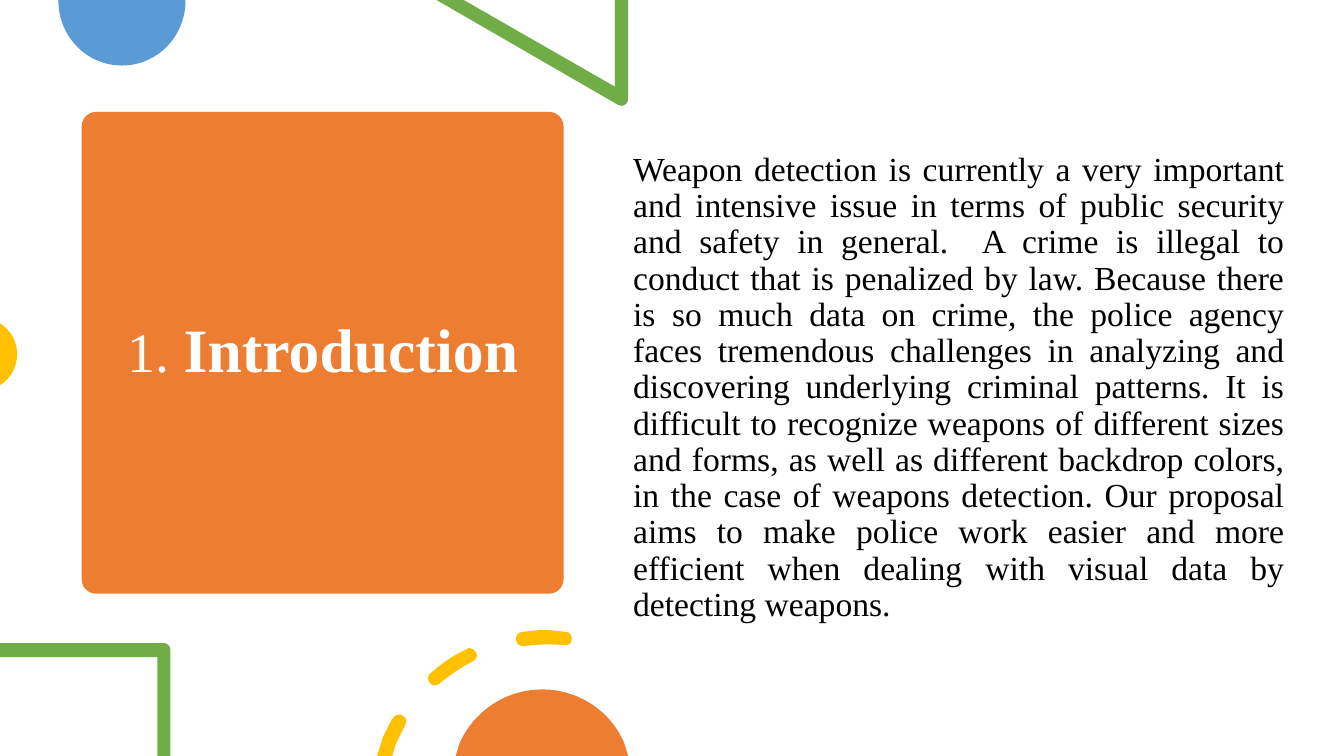
from dataclasses import dataclass

from lxml import etree
from pptx import Presentation
from pptx import util as u
from pptx.dml.color import RGBColor
from pptx.enum import shapes, text
from pptx.oxml import ns

PX = 9144  # EMU; 100 px to the inch


@dataclass(frozen=True)
class Theme:
    font: str = "Times New Roman"
    number_size: int = 40
    title_size: int = 44
    body_size: int = 24
    line_spacing: float = 0.9
    white: str = "FFFFFF"
    black: str = "000000"
    orange: str = "ED7D31"
    blue: str = "5B9BD5"
    green: str = "70AD47"
    yellow: str = "FFC000"


THEME = Theme()
SLIDE_SIZE = (1333, 750)
CARD_BOX = (81, 111, 478, 478)
CARD_ROUNDING = 0.03
TITLE_BOX = (105, 122, 431, 456)
BODY_BOX = (618, 93, 666, 535)
BODY_TOP_INSET = 58

# Text, size, bold, colour
TITLE_RUNS = [
    ("1. ", THEME.number_size, False, THEME.white),
    ("Introduction", THEME.title_size, True, THEME.white),
]
BODY_RUNS = [(
    "Weapon detection is currently a very important and intensive issue in terms of "
    "public security and safety in general.  A crime is illegal to conduct that is "
    "penalized by law. Because there is so much data on crime, the police agency faces "
    "tremendous challenges in analyzing and discovering underlying criminal patterns. "
    "It is difficult to recognize weapons of different sizes and forms, as well as "
    "different backdrop colors, in the case of weapons detection. Our proposal aims to "
    "make police work easier and more efficient when dealing with visual data by "
    "detecting weapons.",
    THEME.body_size, False, THEME.black,
)]

# Each outline is a list of contours. A pair is a corner, six numbers are a cubic curve.
BLUE_CIRCLE = [
    [(184, 0), (58, 0), (58, 1), (58, 36, 86, 65, 121, 65), (156, 65, 184, 36, 184, 1)],
]
GREEN_TRIANGLE = [
    [(623, 0), (610, 0), (610, 86), (460, 0), (433, 0), (613, 104),
     (614, 105, 615, 105, 616, 105), (620, 105, 623, 102, 623, 98)],
]
YELLOW_CIRCLE = [
    [(0, 321), (0, 382), (2, 381), (11, 374, 17, 364, 17, 351), (17, 339, 11, 329, 2, 322)],
]
GREEN_SQUARE = [
    [(163, 638), (0, 638), (0, 652), (156, 652), (156, 750), (169, 750), (169, 645),
     (169, 641, 166, 638, 163, 638)],
]
YELLOW_DASHES = [
    [(397, 709), (394, 708, 392, 710, 390, 712), (386, 718, 383, 725, 380, 731),
     (374, 750), (389, 750), (393, 737), (396, 731, 399, 725, 402, 719),
     (404, 716, 403, 711, 399, 710), (399, 709, 398, 709, 397, 709)],
    [(465, 643), (465, 643, 464, 643, 463, 644), (450, 650, 438, 658, 427, 668),
     (424, 670, 424, 675, 426, 677), (427, 679, 429, 680, 431, 680),
     (433, 680, 435, 679, 436, 678), (446, 670, 457, 662, 469, 656),
     (473, 654, 474, 650, 472, 647), (471, 644, 468, 643, 465, 643)],
    [(540, 625), (532, 625, 525, 626, 518, 627), (514, 627, 511, 631, 512, 635),
     (512, 638, 515, 641, 519, 641), (519, 641, 519, 641, 520, 641),
     (533, 639, 546, 639, 560, 640), (563, 641, 567, 638, 567, 635),
     (568, 631, 565, 627, 562, 627), (562, 627, 561, 627, 561, 627),
     (554, 626, 547, 625, 540, 625)],
]
ORANGE_CIRCLE = [
    [(538, 684), (501, 684, 470, 706, 456, 737), (452, 750), (623, 750), (619, 737),
     (606, 706, 574, 684, 538, 684)],
]
BACK_ORNAMENTS = [
    (THEME.blue, BLUE_CIRCLE), (THEME.green, GREEN_TRIANGLE), (THEME.yellow, YELLOW_CIRCLE),
]
FRONT_ORNAMENTS = [
    (THEME.green, GREEN_SQUARE), (THEME.yellow, YELLOW_DASHES), (THEME.orange, ORANGE_CIRCLE),
]


def emu(lengths):
    return [length * PX for length in lengths]


def paint(shape, color):
    shape.shadow.inherit = False
    shape.fill.solid()
    shape.fill.fore_color.rgb = RGBColor.from_string(color)
    shape.line.fill.background()


def bend_segments(shape, contours):
    """Join the three line segments that stand for each cubic curve into that curve."""
    lines = shape.element.iter(ns.qn("a:lnTo"))
    remaining = iter(list(lines))
    for contour in contours:
        for step in contour[1:]:
            segments = [next(remaining) for _ in range(len(step) // 2)]
            if len(segments) == 1:
                continue
            curve = etree.Element(ns.qn("a:cubicBezTo"))
            segments[0].addprevious(curve)
            for segment in segments:
                curve.append(segment[0])
                segment.getparent().remove(segment)


def add_ornament(slide, color, contours):
    builder = slide.shapes.build_freeform(*contours[0][0], scale=PX)
    for index, (start, *steps) in enumerate(contours):
        if index:
            builder.move_to(*start)
        points = [step[i:i + 2] for step in steps for i in range(0, len(step), 2)]
        builder.add_line_segments(points, close=False)
    shape = builder.convert_to_shape()
    bend_segments(shape, contours)
    paint(shape, color)


def fill_placeholder(shape, box, runs, alignment, anchor):
    shape.left, shape.top, shape.width, shape.height = emu(box)
    frame = shape.text_frame
    frame.word_wrap = True
    frame.auto_size = text.MSO_AUTO_SIZE.NONE
    frame.vertical_anchor = anchor
    paragraph = frame.paragraphs[0]
    paragraph.alignment = alignment
    paragraph.line_spacing = THEME.line_spacing
    paragraph.space_before = u.Pt(0)
    for words, size, bold, color in runs:
        run = paragraph.add_run()
        run.text = words
        run.font.name = THEME.font
        run.font.size = u.Pt(size)
        run.font.bold = bold
        run.font.color.rgb = RGBColor.from_string(color)


def remove_bullet(paragraph):
    properties = paragraph._p.get_or_add_pPr()
    properties.set("marL", "0")
    properties.set("indent", "0")
    etree.SubElement(properties, ns.qn("a:buNone"))


def main():
    presentation = Presentation()
    presentation.slide_width, presentation.slide_height = emu(SLIDE_SIZE)
    slide = presentation.slides.add_slide(presentation.slide_layouts[1])
    title, body = slide.placeholders

    card = slide.shapes.add_shape(shapes.MSO_SHAPE.ROUNDED_RECTANGLE, *emu(CARD_BOX))
    card.adjustments[0] = CARD_ROUNDING
    paint(card, THEME.orange)
    card.element.addnext(title.element)
    fill_placeholder(title, TITLE_BOX, TITLE_RUNS,
                     text.PP_ALIGN.CENTER, text.MSO_ANCHOR.MIDDLE)

    for color, contours in BACK_ORNAMENTS:
        add_ornament(slide, color, contours)

    slide.shapes[-1].element.addnext(body.element)
    fill_placeholder(body, BODY_BOX, BODY_RUNS,
                     text.PP_ALIGN.JUSTIFY, text.MSO_ANCHOR.TOP)
    body.text_frame.margin_top = BODY_TOP_INSET * PX
    remove_bullet(body.text_frame.paragraphs[0])

    for color, contours in FRONT_ORNAMENTS:
        add_ornament(slide, color, contours)

    presentation.save("out.pptx")


if __name__ == "__main__":
    main()
